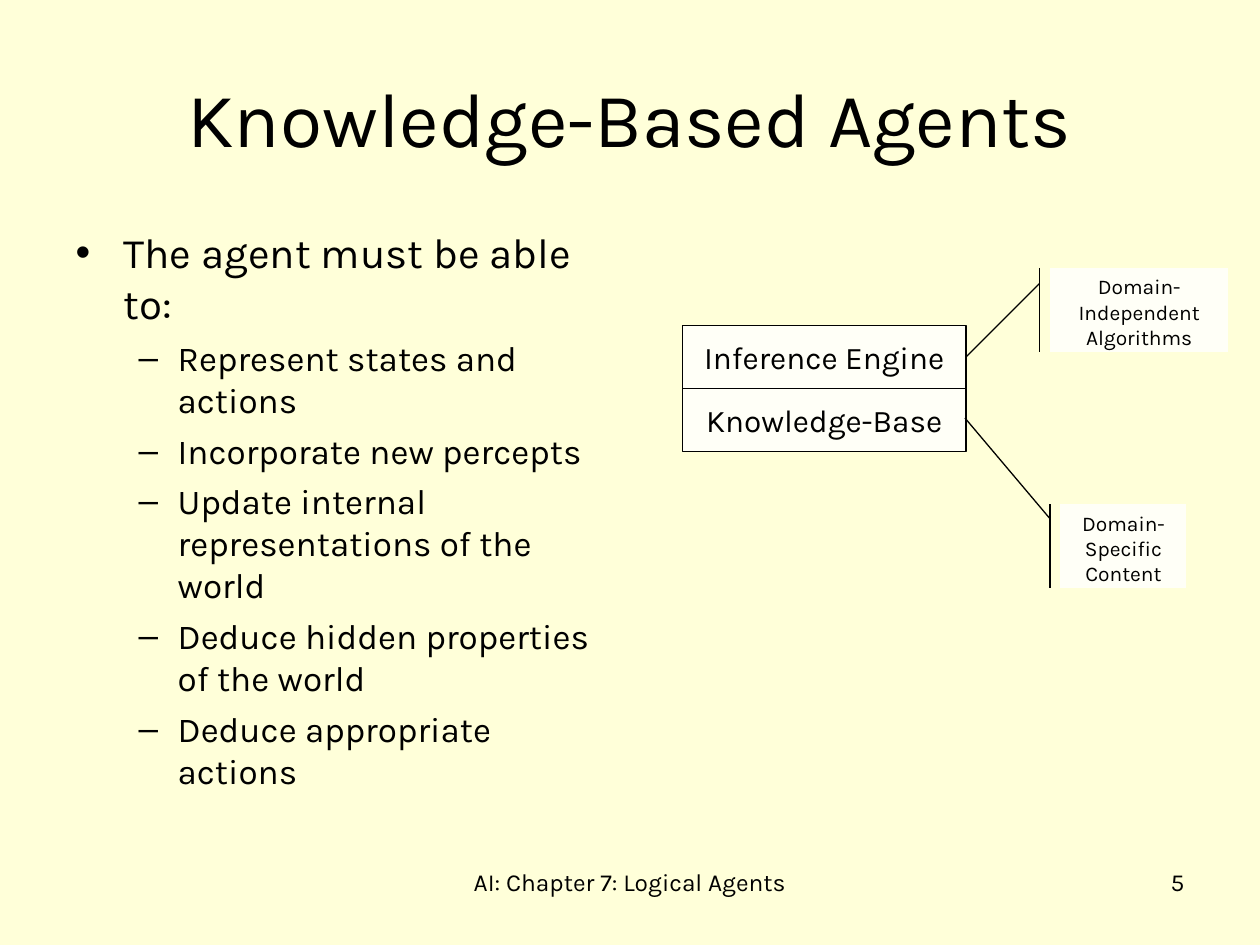
from dataclasses import dataclass

from pptx import Presentation
from pptx.dml.color import RGBColor as Color
from pptx.enum.shapes import MSO_SHAPE as Preset
from pptx.enum.text import MSO_ANCHOR as Anchor, MSO_AUTO_SIZE as AutoSize, PP_ALIGN as Align
from pptx.util import Inches, Pt

COLUMNS, ROWS = 120, 90


@dataclass(frozen=True)
class Theme:
    font: str = "Karla"
    ink: Color = Color.from_string("000000")
    paper: Color = Color.from_string("FFFFD9")
    panel: Color = Color.from_string("FFFFF7")
    title: int = 44
    lead: int = 24
    item: int = 20
    box: int = 18
    footer: int = 14
    callout: int = 12
    line: float = 0.75


class SlideBuilder:
    """Draws styled elements on one slide, measured in grid columns and rows."""

    def __init__(self, presentation, theme):
        self.theme = theme
        self.column = presentation.slide_width / COLUMNS
        self.row = presentation.slide_height / ROWS
        self.slide = presentation.slides.add_slide(presentation.slide_layouts[1])
        fill = self.slide.background.fill
        fill.solid()
        fill.fore_color.rgb = theme.paper

    def place(self, left, top, width, height):
        return [round(size) for size in (left * self.column, top * self.row,
                                         width * self.column, height * self.row)]

    def apply(self, target, formats):
        for name, value in formats.items():
            setattr(target, name, value)

    def add_text(self, paragraph, text, size, **formats):
        run = paragraph.add_run()
        run.text = text
        self.apply(run.font, {"name": self.theme.font, "size": Pt(size)})
        run.font.color.rgb = self.theme.ink
        self.apply(paragraph, formats)

    def frame(self, shape, anchor, wrap=True):
        frame = shape.text_frame
        self.apply(frame, {"auto_size": AutoSize.NONE, "word_wrap": wrap, "vertical_anchor": anchor})
        return frame

    def move(self, shape, area):
        self.apply(shape, dict(zip(("left", "top", "width", "height"), self.place(*area))))

    def title(self, text, area):
        shape = self.slide.shapes.title
        self.move(shape, area)
        paragraph = self.frame(shape, Anchor.MIDDLE).paragraphs[0]
        self.add_text(paragraph, text, self.theme.title, alignment=Align.CENTER)

    def outline(self, lead, items, area):
        shape = self.slide.placeholders[1]
        self.move(shape, area)
        frame = self.frame(shape, Anchor.TOP)
        entries = [(lead, 0, self.theme.lead, 0, 0.38, -0.38)]
        entries += [(item, 1, self.theme.item, 5, 0.81, -0.31) for item in items]
        for index, (text, level, size, before, margin, indent) in enumerate(entries):
            paragraph = frame.add_paragraph() if index else frame.paragraphs[0]
            properties = paragraph._p.get_or_add_pPr()
            properties.set("marL", str(Inches(margin)))
            properties.set("indent", str(Inches(indent)))
            self.add_text(paragraph, text, size, level=level, space_before=Pt(before))

    def label(self, text, area, alignment):
        shape = self.slide.shapes.add_textbox(*self.place(*area))
        paragraph = self.frame(shape, Anchor.TOP).paragraphs[0]
        self.add_text(paragraph, text, self.theme.footer, alignment=alignment)

    def panel(self, preset, text, area, size, anchor, wrap):
        shape = self.slide.shapes.add_shape(preset, *self.place(*area))
        shape.shadow.inherit = False
        shape.fill.solid()
        shape.fill.fore_color.rgb = self.theme.panel
        shape.line.color.rgb = self.theme.ink
        shape.line.width = Pt(self.theme.line)
        paragraph = self.frame(shape, anchor, wrap).paragraphs[0]
        self.add_text(paragraph, text, size, alignment=Align.CENTER)
        return shape

    def box(self, text, area):
        self.panel(Preset.RECTANGLE, text, area, self.theme.box, Anchor.MIDDLE, False)

    def callout(self, text, area, bar, target):
        shape = self.panel(Preset.LINE_CALLOUT_1_ACCENT_BAR, text, area,
                           self.theme.callout, Anchor.TOP, True)
        left, top, width, height = area
        for index, (x, y) in enumerate((bar, target)):
            shape.adjustments[2 * index] = (y - top) / height
            shape.adjustments[2 * index + 1] = (x - left) / width


def main():
    presentation = Presentation()
    presentation.slide_width, presentation.slide_height = Inches(10), Inches(7.5)
    builder = SlideBuilder(presentation, Theme())
    builder.label("AI: Chapter 7: Logical Agents", (41, 82, 38, 6.25), Align.CENTER)
    builder.label("5", (86, 82, 28, 6.25), Align.RIGHT)
    builder.title("Knowledge-Based Agents", (6, 3.6, 108, 15))
    builder.outline("The agent must be able to:", (
        "Represent states and actions",
        "Incorporate new percepts",
        "Update internal representations of the world",
        "Deduce hidden properties of the world",
        "Deduce appropriate actions",
    ), (6, 21, 53, 59.4))
    for index, text in enumerate(("Inference Engine", "Knowledge-Base")):
        builder.box(text, (65, 31 + 6 * index, 27, 6))
    builder.callout("Domain-Independent Algorithms", (100, 25.5, 17, 8), (99, 27), (92, 34))
    builder.callout("Domain-Specific Content", (101, 48, 12, 8), (100, 49.4), (91.9, 39.8))
    presentation.save("out.pptx")


if __name__ == "__main__":
    main()
